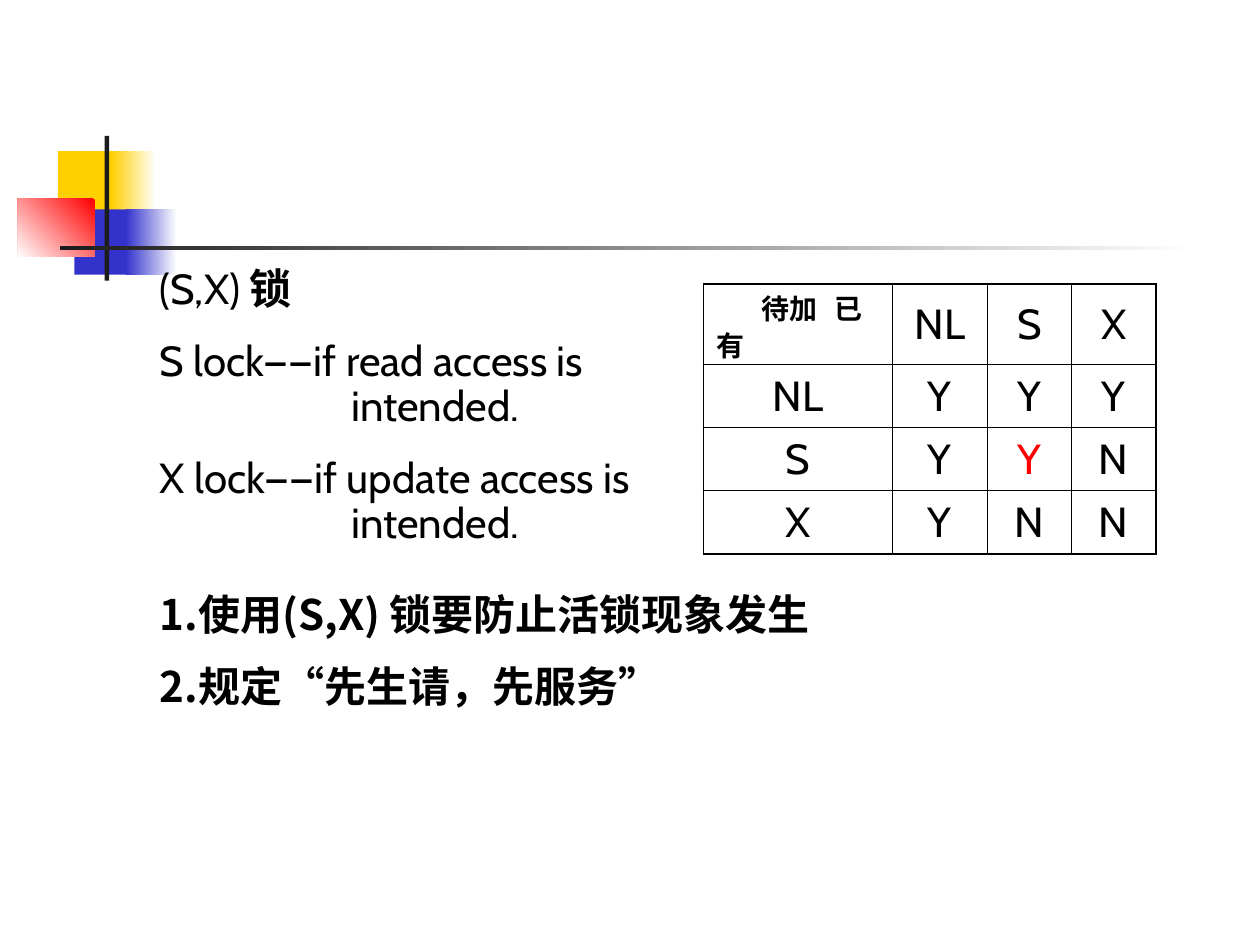
from dataclasses import dataclass
from typing import Optional

import pptx
import pptx.dml.color
import pptx.enum.shapes
import pptx.enum.text
import pptx.oxml.ns
import pptx.util
from lxml import etree

Cm = pptx.util.Cm
Pt = pptx.util.Pt


@dataclass(frozen=True)
class Theme:
    text: str = "000000"
    highlight: str = "FF0000"
    yellow: str = "FFCF01"
    blue: str = "3333CC"
    red: str = "FF0000"
    rule: str = "1C1C1C"
    fade: str = "FFFFFF"
    latin: str = "Cabin"
    chinese: str = "Noto Sans CJK SC"
    body_size: float = 24
    corner_size: float = 16
    outer_border: float = 1.08
    inner_border: float = 0.45


THEME = Theme()


@dataclass(frozen=True)
class Box:
    left: float
    top: float
    width: float
    height: float

    def lengths(self) -> list:
        return [Cm(value) for value in (self.left, self.top, self.width, self.height)]


@dataclass(frozen=True)
class Ornament:
    box: Box
    start: str
    end: Optional[str] = None
    angle: float = 180


@dataclass(frozen=True)
class Line:
    text: str
    bold_tail: str = ""


ORNAMENTS = [
    Ornament(Box(1.17, 3.05, 1.22, 1.32), THEME.yellow),
    Ornament(Box(2.24, 3.05, 0.91, 1.32), THEME.fade, THEME.yellow),
    Ornament(Box(1.5, 4.22, 1.17, 1.32), THEME.blue),
    Ornament(Box(2.54, 4.22, 1.02, 1.32), THEME.fade, THEME.blue),
    Ornament(Box(0.36, 4.01, 1.55, 1.17), THEME.red, THEME.fade, 225),
    Ornament(Box(2.11, 2.74, 0.09, 2.92), THEME.rule),
    Ornament(Box(1.22, 4.95, 22.86, 0.09), THEME.fade, THEME.rule),
]
LOCKS = [
    Line("(S,X) ", "锁"),
    Line("S lock——if read access is intended."),
    Line("X lock——if update access is intended."),
]
RULES = [Line("1.使用(S,X) 锁要防止活锁现象发生"), Line("2.规定“先生请，先服务”")]
COMPATIBILITY = [
    ["待加\t已有", "NL", "S", "X"],
    ["NL", "Y", "Y", "Y"],
    ["S", "Y", "Y", "N"],
    ["X", "Y", "N", "N"],
]
COLUMN_WIDTHS = [3.81, 1.91, 1.7, 1.7]
ROW_HEIGHTS = [1.63, 1.27, 1.27, 1.27]
HIGHLIGHTED_CELL = (2, 2)


def rgb(color: str) -> pptx.dml.color.RGBColor:
    return pptx.dml.color.RGBColor.from_string(color)


def add_child(parent, tag: str, **attributes):
    return etree.SubElement(parent, pptx.oxml.ns.qn(tag), attributes)


def format_run(run, latin: str, size: float, bold: bool, color: str = THEME.text) -> None:
    run.font.size = Pt(size)
    run.font.bold = bold
    run.font.color.rgb = rgb(color)
    run.font.name = latin
    add_child(run.font._element, "a:ea", typeface=THEME.chinese)


def draw_ornament(slide, ornament: Ornament) -> None:
    shape = slide.shapes.add_shape(
        pptx.enum.shapes.MSO_SHAPE.RECTANGLE, *ornament.box.lengths()
    )
    shape.shadow.inherit = False
    shape.line.fill.background()
    if ornament.end is None:
        shape.fill.solid()
        shape.fill.fore_color.rgb = rgb(ornament.start)
        return
    shape.fill.gradient()
    shape.fill.gradient_angle = ornament.angle
    for stop, color in zip(shape.fill.gradient_stops, (ornament.start, ornament.end)):
        stop.color.rgb = rgb(color)


def fill_body(slide, placeholder, box: Box, lines: list[Line], latin: str,
              bold: bool, hanging: float) -> None:
    slide.shapes._spTree.append(placeholder.element)
    placeholder.left, placeholder.top, placeholder.width, placeholder.height = box.lengths()
    frame = placeholder.text_frame
    frame.word_wrap = True
    frame.auto_size = pptx.enum.text.MSO_AUTO_SIZE.SHAPE_TO_FIT_TEXT
    for index, line in enumerate(lines):
        paragraph = frame.add_paragraph() if index else frame.paragraphs[0]
        paragraph.text = line.text
        paragraph.line_spacing = 0.9
        paragraph.space_before = Pt(15 if index else 0)
        properties = paragraph._p.get_or_add_pPr()
        properties.set("marL", str(Cm(hanging)))
        properties.set("indent", str(-Cm(hanging)))
        add_child(properties, "a:buNone")
        format_run(paragraph.runs[0], latin, THEME.body_size, bold)
        if line.bold_tail:
            run = paragraph.add_run()
            run.text = line.bold_tail
            format_run(run, latin, THEME.body_size, True)


def border_cell(cell, outer_sides: dict[str, bool]) -> None:
    properties = cell._tc.get_or_add_tcPr()
    for position, (side, outer) in enumerate(outer_sides.items()):
        width = Pt(THEME.outer_border if outer else THEME.inner_border)
        border = etree.Element(pptx.oxml.ns.qn(f"a:ln{side}"), w=str(width))
        fill = add_child(border, "a:solidFill")
        add_child(fill, "a:srgbClr", val=THEME.text)
        properties.insert(position, border)


def format_corner(cell) -> None:
    cell.margin_top, cell.margin_bottom = Cm(0.13), Cm(0)
    paragraph = cell.text_frame.paragraphs[0]
    paragraph.line_spacing = Pt(21)
    properties = paragraph._p.get_or_add_pPr()
    properties.set("indent", str(Cm(0.92)))
    tabs = add_child(properties, "a:tabLst")
    add_child(tabs, "a:tab", pos=str(Cm(2.68)), algn="l")
    format_run(paragraph.runs[0], THEME.chinese, THEME.corner_size, True)


def draw_compatibility(slide, box: Box) -> None:
    row_count, column_count = len(ROW_HEIGHTS), len(COLUMN_WIDTHS)
    table = slide.shapes.add_table(row_count, column_count, *box.lengths()).table
    table.first_row = table.horz_banding = False
    for column, width in zip(table.columns, COLUMN_WIDTHS):
        column.width = Cm(width)
    for row, height in zip(table.rows, ROW_HEIGHTS):
        row.height = Cm(height)
    for row, texts in enumerate(COMPATIBILITY):
        for column, text in enumerate(texts):
            cell = table.cell(row, column)
            cell.text_frame.text = text
            cell.vertical_anchor = pptx.enum.text.MSO_ANCHOR.MIDDLE
            cell.fill.background()
            border_cell(cell, {
                "L": column == 0,
                "R": column == column_count - 1,
                "T": row == 0,
                "B": row == row_count - 1,
            })
            if (row, column) == (0, 0):
                format_corner(cell)
                continue
            paragraph = cell.text_frame.paragraphs[0]
            paragraph.alignment = pptx.enum.text.PP_ALIGN.CENTER
            color = THEME.highlight if (row, column) == HIGHLIGHTED_CELL else THEME.text
            format_run(paragraph.runs[0], THEME.latin, THEME.body_size, False, color)


def main() -> None:
    presentation = pptx.Presentation()
    presentation.slide_width, presentation.slide_height = Cm(25.4), Cm(19.05)
    slide = presentation.slides.add_slide(presentation.slide_layouts[3])
    title, locks, rules = slide.placeholders
    slide.shapes._spTree.remove(title.element)
    for ornament in ORNAMENTS:
        draw_ornament(slide, ornament)
    fill_body(slide, locks, Box(2.97, 5.28, 11.23, 5.89), LOCKS, THEME.latin, False, 3.86)
    draw_compatibility(slide, Box(14.18, 5.72, sum(COLUMN_WIDTHS), sum(ROW_HEIGHTS)))
    fill_body(slide, rules, Box(2.97, 11.86, 16.08, 2.62), RULES, THEME.chinese, True, 0)
    presentation.save("out.pptx")


if __name__ == "__main__":
    main()
